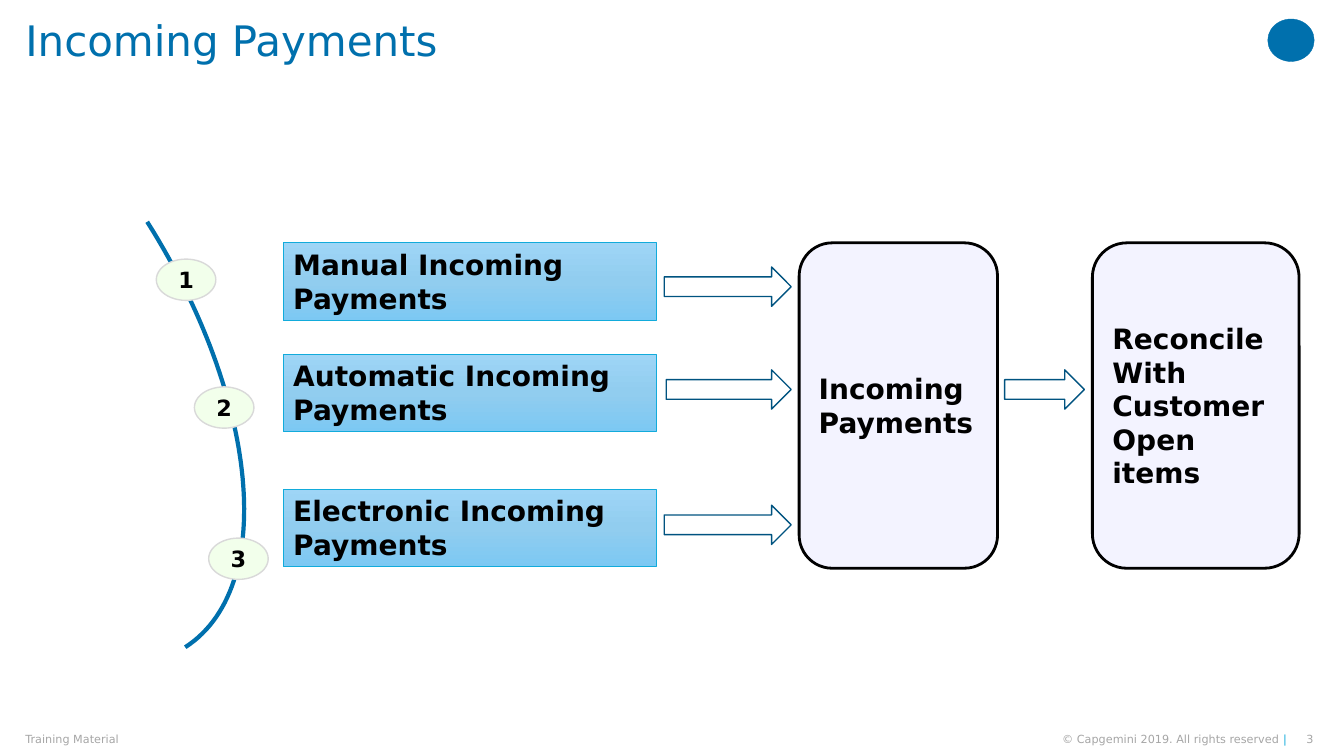
import copy
from dataclasses import dataclass
from typing import Any

import pptx
import pptx.dml.color
import pptx.enum.shapes
import pptx.enum.text
import pptx.util

Cm = pptx.util.Cm
Pt = pptx.util.Pt
RGBColor = pptx.dml.color.RGBColor
SHAPE = pptx.enum.shapes.MSO_SHAPE
ANCHOR = pptx.enum.text.MSO_ANCHOR
ALIGN = pptx.enum.text.PP_ALIGN

BLACK = RGBColor(0x00, 0x00, 0x00)
WHITE = RGBColor(0xFF, 0xFF, 0xFF)
BLUE = RGBColor(0x00, 0x70, 0xAD)
CYAN = RGBColor(0x12, 0xAB, 0xDB)
NAVY = RGBColor(0x00, 0x53, 0x80)
GREY = RGBColor(0xA6, 0xA6, 0xA6)
PALE_GREY = RGBColor(0xD9, 0xD9, 0xD9)
PALE_GREEN = RGBColor(0xF2, 0xFF, 0xEB)
LAVENDER = RGBColor(0xF3, 0xF3, 0xFF)
METHOD_GRADIENT = (
    RGBColor(0x9E, 0xD5, 0xF6),
    RGBColor(0x91, 0xCD, 0xEF),
    RGBColor(0x7C, 0xC8, 0xF3),
)

FONT = "DejaVu Sans"
FOOTER_TOP, FOOTER_HEIGHT = 18.47, 0.33
STAGE_TOP, STAGE_HEIGHT = 6.12, 8.2
ARROW_HEIGHT = 0.99
CURVE_CONTROLS = ((3.71, 5.59), (6.53, 10.06), (6.99, 14.81), (4.67, 16.31))
CURVE_STEPS = 60


@dataclass(frozen=True)
class Area:
    left: float
    top: float
    width: float
    height: float

    def lengths(self) -> tuple:
        return Cm(self.left), Cm(self.top), Cm(self.width), Cm(self.height)


@dataclass(frozen=True)
class Method:
    number: str
    name: str
    top: float
    badge_left: float
    badge_top: float


@dataclass(frozen=True)
class Stage:
    name: str
    left: float
    width: float


@dataclass(frozen=True)
class Arrow:
    left: float
    top: float
    width: float


METHODS = (
    Method("1", "Manual Incoming Payments", 6.12, 3.94, 6.53),
    Method("2", "Automatic Incoming Payments", 8.92, 4.9, 9.75),
    Method("3", "Electronic Incoming Payments", 12.32, 5.26, 13.56),
)
STAGES = (
    Stage("Incoming Payments", 20.14, 5.0),
    Stage("Reconcile With Customer Open items", 27.53, 5.21),
)
ARROWS = (
    Arrow(16.74, 6.73, 3.2),
    Arrow(16.79, 9.32, 3.15),
    Arrow(16.74, 12.73, 3.2),
    Arrow(25.32, 9.32, 2.01),
)


def apply_format(target: Any, values: dict) -> None:
    for attribute, value in values.items():
        setattr(target, attribute, value)


def write_text(shape: Any, runs: tuple, size: float, frame_format: dict,
               paragraph_format: dict, bold: bool = False) -> None:
    apply_format(shape.text_frame, frame_format)
    paragraph = shape.text_frame.paragraphs[0]
    apply_format(paragraph, paragraph_format)
    for text, color in runs:
        run = paragraph.add_run()
        run.text = text
        apply_format(run.font, {"name": FONT, "size": Pt(size), "bold": bold})
        run.font.color.rgb = color


def add_label(slide: Any, area: Area, runs: tuple, size: float,
              anchor: Any, align: Any, top_inset: float = 0,
              line_spacing: float = 1.0) -> None:
    label = slide.shapes.add_textbox(*area.lengths())
    frame_format = {
        "word_wrap": True, "vertical_anchor": anchor,
        "margin_left": 0, "margin_top": Cm(top_inset),
        "margin_right": 0, "margin_bottom": 0,
    }
    write_text(label, runs, size, frame_format,
               {"alignment": align, "line_spacing": line_spacing})


def add_block(slide: Any, preset: Any, area: Area, fill: RGBColor,
              line: RGBColor, line_width: float) -> Any:
    block = slide.shapes.add_shape(preset, *area.lengths())
    block.shadow.inherit = False
    block.fill.solid()
    block.fill.fore_color.rgb = fill
    block.line.color.rgb = line
    block.line.width = Pt(line_width)
    return block


def shade_method(block: Any) -> None:
    block.fill.gradient()
    block.fill.gradient_angle = 270
    first_stop = block._element.spPr.xpath(".//a:gs")[0]
    first_stop.addnext(copy.deepcopy(first_stop))
    for index, (stop, color) in enumerate(zip(block.fill.gradient_stops, METHOD_GRADIENT)):
        stop.position = index / 2
        stop.color.rgb = color


def add_method(slide: Any, method: Method) -> None:
    badge = add_block(slide, SHAPE.OVAL, Area(method.badge_left, method.badge_top, 1.5, 1.04),
                      PALE_GREEN, PALE_GREY, 1)
    write_text(badge, ((method.number, BLACK),), 16,
               {"word_wrap": False, "vertical_anchor": ANCHOR.MIDDLE},
               {"alignment": ALIGN.CENTER}, bold=True)
    block = add_block(slide, SHAPE.RECTANGLE, Area(7.14, method.top, 9.4, 1.96),
                      METHOD_GRADIENT[0], CYAN, 0.5)
    shade_method(block)
    write_text(block, ((method.name, BLACK),), 20,
               {"word_wrap": True, "vertical_anchor": ANCHOR.TOP},
               {"alignment": ALIGN.LEFT}, bold=True)


def add_stage(slide: Any, stage: Stage) -> None:
    block = add_block(slide, SHAPE.ROUNDED_RECTANGLE,
                      Area(stage.left, STAGE_TOP, stage.width, STAGE_HEIGHT),
                      LAVENDER, BLACK, 2)
    write_text(block, ((stage.name, BLACK),), 20,
               {"word_wrap": True, "vertical_anchor": ANCHOR.MIDDLE},
               {"alignment": ALIGN.LEFT}, bold=True)


def curve_point(t: float) -> tuple:
    weights = ((1 - t) ** 3, 3 * t * (1 - t) ** 2, 3 * t ** 2 * (1 - t), t ** 3)
    return tuple(Cm(sum(w * c for w, c in zip(weights, axis)))
                 for axis in zip(*CURVE_CONTROLS))


def add_curve(slide: Any) -> None:
    points = [curve_point(step / CURVE_STEPS) for step in range(CURVE_STEPS + 1)]
    builder = slide.shapes.build_freeform(*points[0])
    builder.add_line_segments(points[1:], close=False)
    curve = builder.convert_to_shape()
    curve.shadow.inherit = False
    curve.fill.background()
    curve.line.color.rgb = BLUE
    curve.line.width = Pt(3)


def main() -> None:
    presentation = pptx.Presentation()
    apply_format(presentation, {"slide_width": Cm(33.87), "slide_height": Cm(19.05)})
    slide = presentation.slides.add_slide(presentation.slide_layouts[6])

    add_block(slide, SHAPE.OVAL, Area(31.95, 0.48, 1.17, 1.07), BLUE, BLUE, 0.25)
    add_label(slide, Area(32.64, FOOTER_TOP, 0.75, FOOTER_HEIGHT), (("3", GREY),),
              8, ANCHOR.MIDDLE, ALIGN.CENTER)
    add_label(slide, Area(25.04, FOOTER_TOP, 7.39, FOOTER_HEIGHT),
              (("© Capgemini 2019. All rights reserved ", GREY), ("|", CYAN)),
              8, ANCHOR.MIDDLE, ALIGN.RIGHT)
    add_label(slide, Area(0.64, FOOTER_TOP, 13.11, FOOTER_HEIGHT),
              (("Training Material", GREY),), 8, ANCHOR.MIDDLE, ALIGN.LEFT)
    add_label(slide, Area(0.64, 0, 30.91, 2.01), (("Incoming Payments", BLUE),),
              30, ANCHOR.TOP, ALIGN.LEFT, top_inset=0.51, line_spacing=0.9)

    add_curve(slide)
    for method in METHODS:
        add_method(slide, method)
    for stage in STAGES:
        add_stage(slide, stage)
    for arrow in ARROWS:
        add_block(slide, SHAPE.RIGHT_ARROW,
                  Area(arrow.left, arrow.top, arrow.width, ARROW_HEIGHT), WHITE, NAVY, 1)

    presentation.save("out.pptx")


if __name__ == "__main__":
    main()
